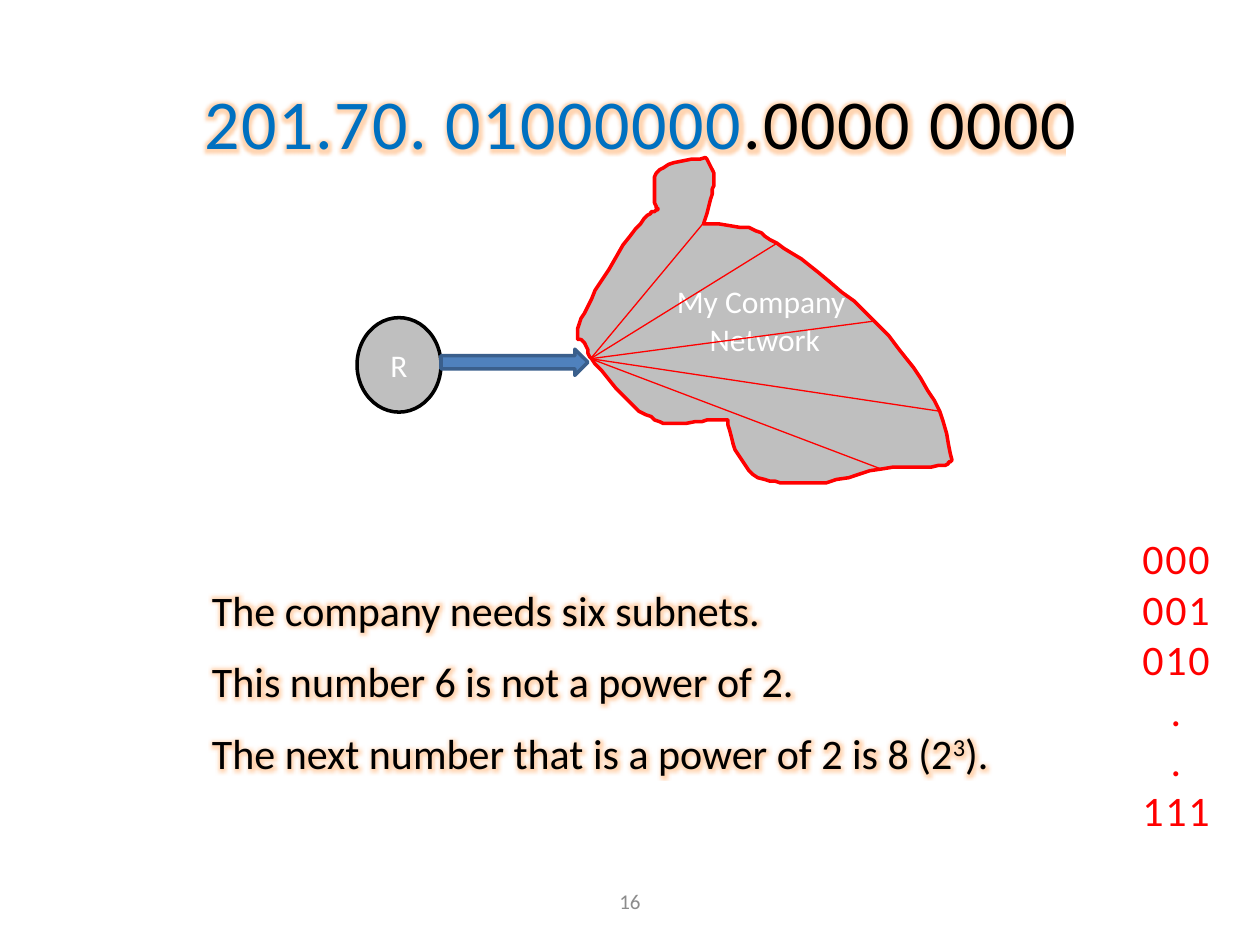
from lxml.etree import SubElement
from pptx import Presentation
from pptx.dml.color import RGBColor
from pptx.enum.shapes import MSO_CONNECTOR, MSO_SHAPE
from pptx.enum.text import MSO_ANCHOR, PP_ALIGN
from pptx.oxml.ns import qn
from pptx.util import Pt

THEME = {
    "font": "Calibri", "title": 40, "body": 24, "label": 18, "number": 12,
    "black": "000000", "white": "FFFFFF", "blue": "0070C0", "red": "FF0000",
    "gray": "BFBFBF", "muted": "8C8C8C", "arrow": "4F81BD", "arrow_edge": "3A5F8C",
    "glow": "FF963F", "glow_radius": 8, "glow_alpha": 40000,
    "outline": 2, "subnet_line": 0.75,
}
ADDRESS = [("201.70. 01000000", "blue"), (".0000 0000", "black")]
STATEMENTS = [
    [("The company needs six subnets. ", 0)],
    [("This number 6 is not a power of 2. ", 0)],
    [("The next number that is a power of 2 is 8 (2", 0), ("3", 30000), ("). ", 0)],
]
SUBNET_BITS = ["000", "001", "010", ".", ".", "111"]
NETWORK_LABEL = ["My Company ", "Network"]
SLIDE_NUMBER = "16"

BOXES = {
    "address": (60, 42, 612, 55.5),
    "statements": (114, 330.5, 522, 124),
    "bits": (645, 301, 54, 181.5),
    "number": (246, 500.5, 228, 28.75),
    "router": (204, 181.5, 48, 54),
    "arrow": (252, 199.5, 84, 15),
}
GATEWAY = (337.5, 205)
SUBNET_ENDS = {
    "neck": (402, 127.5), "north": (444, 139), "northeast": (499.5, 183.5),
    "east": (537, 235), "south": (503.5, 268),
}
COAST = {
    "west": [(360, 135), (340.5, 166), (331, 185), (330, 193.5)],
    "gate": [(334, 196), GATEWAY],
    "southwest": [(355.5, 226), (371.5, 238.5), (384.5, 242.5), (404.5, 240.5), (415.5, 240.5)],
    "inlet": [(420.5, 257), (430, 271), (445.5, 276)],
    "south": [(472.5, 275.5), SUBNET_ENDS["south"], (536.5, 266.5), (543.5, 263)],
    "east": [SUBNET_ENDS["east"], (517.5, 205), SUBNET_ENDS["northeast"], (468.5, 156),
             SUBNET_ENDS["north"], (428, 130.5), SUBNET_ENDS["neck"]],
    "neck": [(407, 111), (407.5, 99), (403, 90)],
    "head": [(381.5, 94.5), (374.5, 101), (374.5, 116.5), (376, 120), (371.5, 121.5)],
}
CURVE_STEPS = 5


def color(name):
    """Return a theme colour."""
    return RGBColor.from_string(THEME[name])


def spline(a, b, c, d, t):
    """Return the Catmull-Rom value between b and c at t."""
    return b + t * (c - a + t * (2 * a - 5 * b + 4 * c - d + t * (3 * (b - c) + d - a))) / 2


def smooth(anchors):
    """Return points on a curve through the anchors, without the first."""
    padded = [anchors[0], *anchors, anchors[-1]]
    return [
        tuple(spline(*axis, step / CURVE_STEPS) for axis in zip(*window))
        for window in zip(padded, padded[1:], padded[2:], padded[3:])
        for step in range(1, CURVE_STEPS + 1)
    ]


def coastline():
    """Join the smoothed coasts, each starting where the last one ended."""
    points = [COAST["head"][-1]]
    for anchors in COAST.values():
        points += smooth([points[-1], *anchors])
    return points


def style(p, size, name, align=PP_ALIGN.CENTER):
    """Set the alignment and font of a paragraph."""
    p.alignment = align
    p.font.name, p.font.size = THEME["font"], Pt(THEME[size])
    p.font.color.rgb = color(name)


def add_run(p, text, glow=False, spaced=False, baseline=0):
    """Add a run with optional glow, tracking and raised baseline."""
    r = p.add_run()
    r.text = text
    props = r.font._element
    if spaced:
        props.set("spc", "100")
    if baseline:
        props.set("baseline", str(baseline))
    if glow:
        effects = SubElement(props, qn("a:effectLst"))
        halo = SubElement(effects, qn("a:glow"), rad=str(Pt(THEME["glow_radius"])))
        tint = SubElement(halo, qn("a:srgbClr"), val=THEME["glow"])
        SubElement(tint, qn("a:alpha"), val=str(THEME["glow_alpha"]))
    return r


def paragraphs(tf, items):
    """Yield a paragraph of the frame for each item."""
    for i, item in enumerate(items):
        yield (tf.add_paragraph() if i else tf.paragraphs[0]), item


def add_box(s, name, wrap=True):
    """Add a named text box and return its frame."""
    tf = s.shapes.add_textbox(*map(Pt, BOXES[name])).text_frame
    tf.word_wrap = wrap
    return tf


def paint(sp, fill, line, labels=()):
    """Fill, outline and label a shape."""
    sp.shadow.inherit = False
    sp.fill.solid()
    sp.fill.fore_color.rgb = color(fill)
    sp.line.color.rgb, sp.line.width = color(line), Pt(THEME["outline"])
    sp.text_frame.vertical_anchor = MSO_ANCHOR.MIDDLE
    for p, label in paragraphs(sp.text_frame, labels):
        style(p, "label", "white")
        add_run(p, label)


def add_network(s):
    """Draw the network area and the lines that divide it into subnets."""
    start, *rest = coastline()
    builder = s.shapes.build_freeform(*start, scale=float(Pt(1)))
    builder.add_line_segments(rest, close=True)
    paint(builder.convert_to_shape(), "gray", "red", NETWORK_LABEL)
    for end in SUBNET_ENDS.values():
        border = s.shapes.add_connector(MSO_CONNECTOR.STRAIGHT, *map(Pt, GATEWAY + end))
        border.line.color.rgb, border.line.width = color("red"), Pt(THEME["subnet_line"])
        SubElement(border._element.spPr, qn("a:effectLst"))


def add_router(s):
    """Draw the router and its arrow to the network."""
    router = s.shapes.add_shape(MSO_SHAPE.OVAL, *map(Pt, BOXES["router"]))
    paint(router, "gray", "black", ["R"])
    arrow = s.shapes.add_shape(MSO_SHAPE.RIGHT_ARROW, *map(Pt, BOXES["arrow"]))
    paint(arrow, "arrow", "arrow_edge")


def add_address(s):
    """Write the address with its network part in blue."""
    p = add_box(s, "address").paragraphs[0]
    style(p, "title", "black")
    for text, name in ADDRESS:
        add_run(p, text, glow=True, spaced=True).font.color.rgb = color(name)


def add_statements(s):
    """Write the statements about the subnet count."""
    for p, parts in paragraphs(add_box(s, "statements"), STATEMENTS):
        props = p._p.get_or_add_pPr()
        props.set("marL", str(Pt(36)))
        props.set("indent", str(Pt(-36)))
        style(p, "body", "black", PP_ALIGN.JUSTIFY)
        if parts is not STATEMENTS[0]:
            p.space_before = Pt(THEME["body"] / 2)
        for text, baseline in parts:
            add_run(p, text, glow=True, baseline=baseline)


def add_bits(s):
    """List the subnet bits."""
    for p, bits in paragraphs(add_box(s, "bits", wrap=False), SUBNET_BITS):
        style(p, "body", "red")
        add_run(p, bits, spaced=True)


def add_number(s):
    """Write the slide number."""
    tf = add_box(s, "number")
    tf.vertical_anchor = MSO_ANCHOR.MIDDLE
    style(tf.paragraphs[0], "number", "muted")
    add_run(tf.paragraphs[0], SLIDE_NUMBER)


def main():
    """Build and save the slide."""
    prs = Presentation()
    prs.slide_width, prs.slide_height = Pt(720), Pt(540)
    s = prs.slides.add_slide(prs.slide_layouts[6])
    for add_part in (add_address, add_network, add_router, add_statements, add_bits, add_number):
        add_part(s)
    prs.save("out.pptx")


if __name__ == "__main__":
    main()
